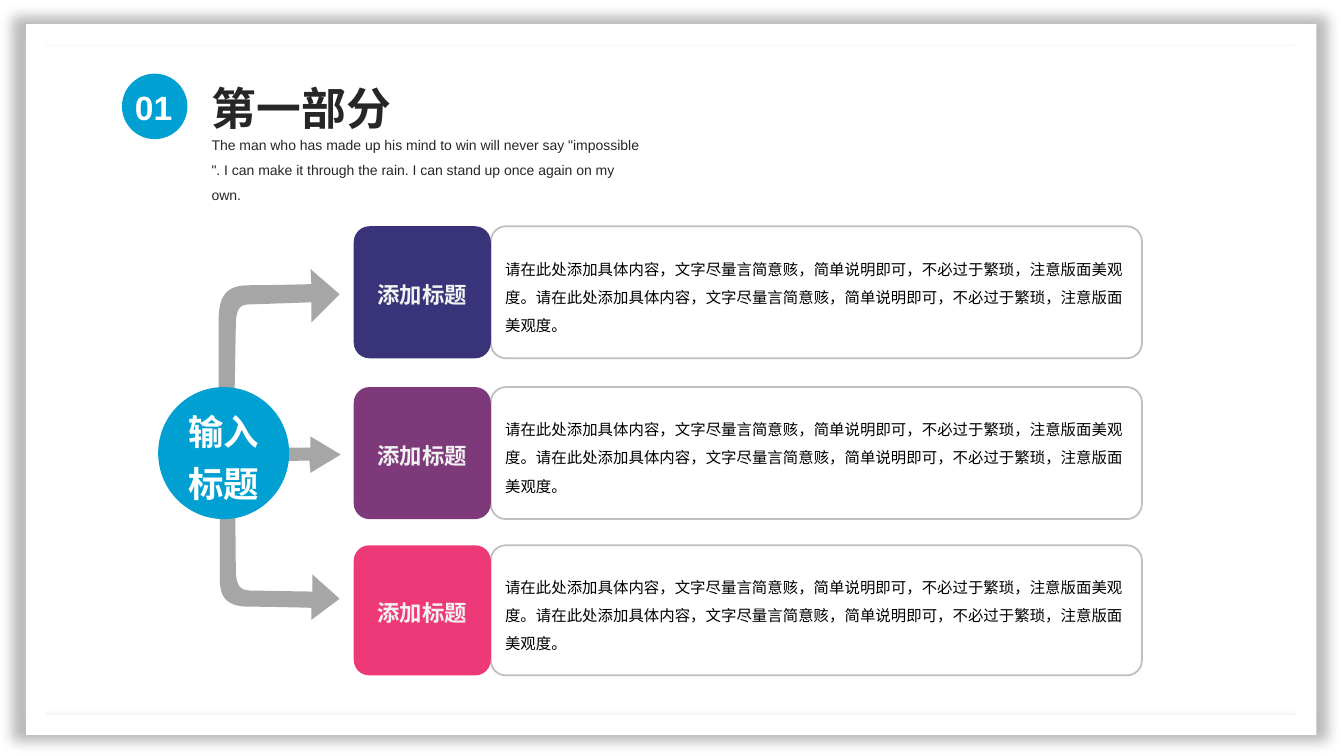
from pptx import Presentation
from pptx.dml.color import RGBColor
from pptx.enum.shapes import MSO_SHAPE
from pptx.enum.text import MSO_ANCHOR, MSO_AUTO_SIZE, PP_ALIGN
from pptx.oxml import parse_xml
from pptx.oxml.ns import nsdecls
from pptx.util import Pt

COLORS = {
    "white": "FFFFFF", "ink": "262626", "black": "000000", "blue": "00A1D2",
    "arrow": "A6A6A6", "border": "BFBFBF", "label": "F2F2F2",
    "indigo": "39337A", "purple": "7E397A", "pink": "EE3978",
}
SUBTITLE = ('The man who has made up his mind to win will never say "impossible ". '
            "I can make it through the rain. I can stand up once again on my own.")
DETAIL = "请在此处添加具体内容，文字尽量言简意赅，简单说明即可，不必过于繁琐，注意版面美观度。" * 2
ROWS = [(161.6, 94.3, "indigo"), (276.5, 94.3, "purple"), (389.5, 92.9, "pink")]

# Two numbers are a line's end; six are a Bézier curve's two controls and end.
ARROWS = [
    [(167.8, 337), (168.5, 409), (169.2, 421.2, 173.5, 421.9, 181.4, 421.9),
     (223.2, 422.6), (223.2, 410.4), (242.6, 427.7), (222.5, 442.8), (222.5, 434.2),
     (222.5, 434.2, 194.4, 433.4, 178.6, 433.4), (162.7, 433.4, 157, 427.7, 157, 413.3),
     (157, 336.2), (159.1, 323.3, 165.6, 324.7, 167.8, 337)],
    [(141.1, 330.5), (221, 329), (221.8, 337.7), (243.4, 324.7), (221.8, 311.8),
     (221.8, 319.7), (141.1, 319.7)],
    [(167, 315.4), (168.5, 232.6), (168.5, 217.4, 173.5, 217.4, 180.7, 217.4),
     (222.5, 216), (222.5, 230.4), (242.6, 210.2), (221.8, 192.2), (222.5, 203),
     (222.5, 203, 193.7, 203.8, 177.8, 203.8), (162, 203.8, 156.6, 211, 156.2, 227.5),
     (156.2, 316.8), (158.4, 331.2, 164.9, 329.8, 167, 315.4)],
]


def rgb(name):
    """Return the named colour."""
    return RGBColor.from_string(COLORS[name])


def write(sp, text, size, color, bold=False, align=PP_ALIGN.LEFT,
          anchor=MSO_ANCHOR.TOP, spacing=None):
    """Put formatted text into a shape."""
    tf = sp.text_frame
    tf.word_wrap = True
    tf.auto_size = MSO_AUTO_SIZE.NONE
    tf.vertical_anchor = anchor
    p = tf.paragraphs[0]
    p.alignment = align
    p.line_spacing = spacing
    r = p.add_run()
    r.text = text
    r.font.name = "Arial"
    r.font.size = Pt(size)
    r.font.bold = bold
    r.font.color.rgb = rgb(color)


def paint(sp, fill=None, line=None):
    """Set a shape's fill and outline, and drop its shadow."""
    sp.shadow.inherit = False
    if fill:
        sp.fill.solid()
        sp.fill.fore_color.rgb = rgb(fill)
    else:
        sp.fill.background()
    if line:
        sp.line.color.rgb = rgb(line)
        sp.line.width = Pt(1.25)
    else:
        sp.line.fill.background()


def add_preset(s, kind, box, fill=None, line=None, adj=None):
    """Add a preset shape."""
    sp = s.shapes.add_shape(kind, *map(Pt, box))
    paint(sp, fill, line)
    if adj is not None:
        sp.adjustments[0] = adj
    return sp


def add_text(s, box, text, **style):
    """Add a text box."""
    write(s.shapes.add_textbox(*map(Pt, box)), text, **style)


def add_title(s, box, text, **style):
    """Place and fill the title placeholder."""
    sp = s.shapes.title
    sp.left, sp.top, sp.width, sp.height = map(Pt, box)
    write(sp, text, **style)


def add_frame(s):
    """Add the page frame with its soft shadow."""
    sp = add_preset(s, MSO_SHAPE.FRAME, (18.7, 17.3, 921.6, 507.6), "white", adj=0.028)
    effects = sp._element.spPr.find("{*}effectLst")
    effects.append(parse_xml(
        f'<a:outerShdw {nsdecls("a")} blurRad="{Pt(9)}" sx="102000" sy="102000" '
        'algn="ctr" rotWithShape="0"><a:srgbClr val="000000">'
        '<a:alpha val="27000"/></a:srgbClr></a:outerShdw>'))


def flatten(path, steps=12):
    """Turn lines and Bézier curves into a list of points."""
    points = [path[0]]
    for seg in path[1:]:
        if len(seg) == 2:
            points.append(seg)
            continue
        start = points[-1]
        for i in range(1, steps + 1):
            t = i / steps
            u = 1 - t
            points.append(tuple(
                u**3 * start[k] + 3 * u * u * t * seg[k]
                + 3 * u * t * t * seg[k + 2] + t**3 * seg[k + 4] for k in (0, 1)))
    return points


def add_arrow(s, path):
    """Add a grey block arrow."""
    points = [(Pt(x), Pt(y)) for x, y in flatten(path)]
    builder = s.shapes.build_freeform(*points[0])
    builder.add_line_segments(points[1:], close=True)
    paint(builder.convert_to_shape(), "arrow")


def add_row(s, top, height, color):
    """Add a coloured label and its outlined description."""
    rounded = MSO_SHAPE.ROUNDED_RECTANGLE
    sp = add_preset(s, rounded, (350.6, top, 465.1, height), line="border", adj=0.115)
    write(sp, DETAIL, 11, "black", anchor=MSO_ANCHOR.MIDDLE, spacing=Pt(20))
    sp = add_preset(s, rounded, (252.7, top, 97.9, height), color, adj=0.119)
    write(sp, "添加标题", 16, "label", bold=True, align=PP_ALIGN.CENTER,
          anchor=MSO_ANCHOR.MIDDLE, spacing=1.2)


def main():
    """Build and save the slide."""
    prs = Presentation()
    prs.slide_width, prs.slide_height = Pt(960), Pt(540)
    s = prs.slides.add_slide(prs.slide_layouts[5])
    add_frame(s)
    add_title(s, (144, 46.1, 229.7, 50.4), "第一部分", size=32, color="ink",
              bold=True, spacing=1.2)
    add_text(s, (144, 87.8, 320.4, 41.8), SUBTITLE, size=10, color="ink", spacing=Pt(18))
    add_preset(s, MSO_SHAPE.OVAL, (87.1, 52.6, 46.8, 46.8), "blue")
    add_text(s, (89.3, 58.3, 44.6, 36), "01", size=24, color="white", bold=True)
    for path in ARROWS:
        add_arrow(s, path)
    for row in ROWS:
        add_row(s, *row)
    hub = add_preset(s, MSO_SHAPE.OVAL, (113, 276.5, 93.6, 94.3), "blue")
    write(hub, "输入标题", 25.3, "white", bold=True, align=PP_ALIGN.CENTER,
          anchor=MSO_ANCHOR.MIDDLE, spacing=1.2)
    prs.save("out.pptx")


if __name__ == "__main__":
    main()
